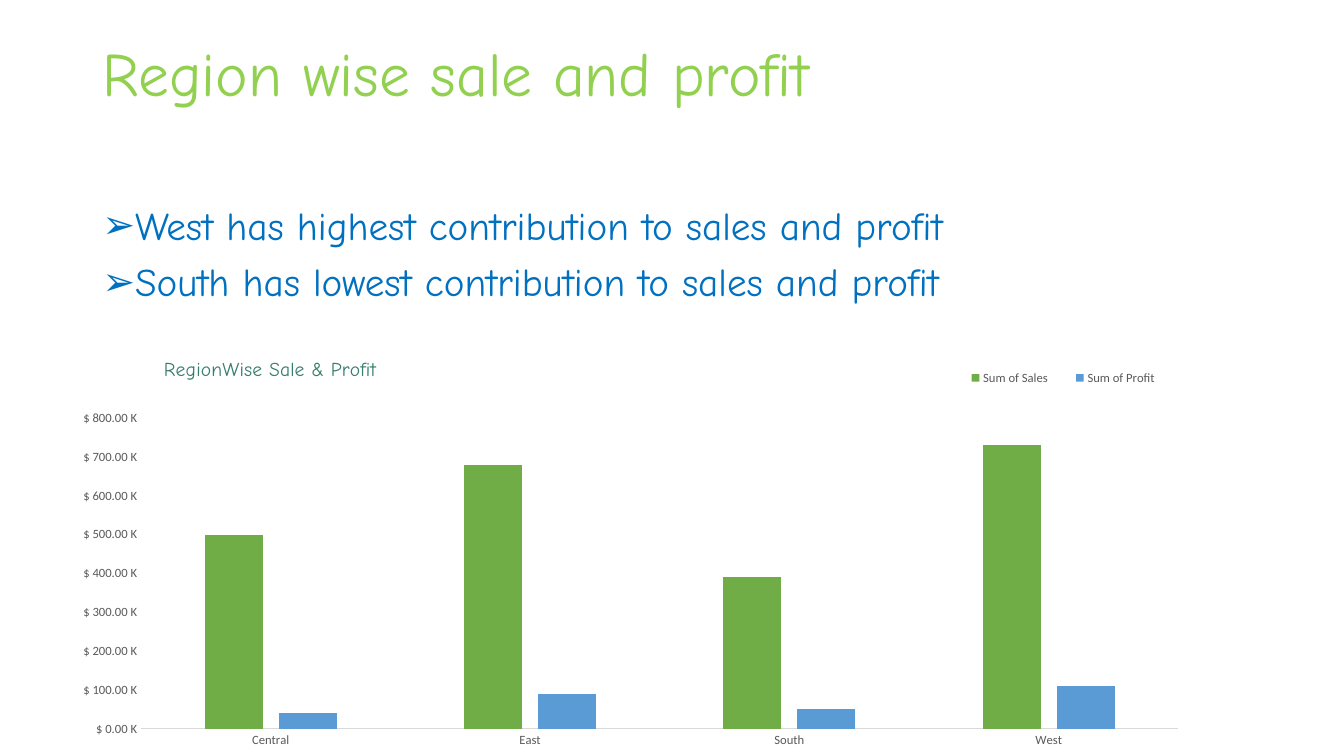
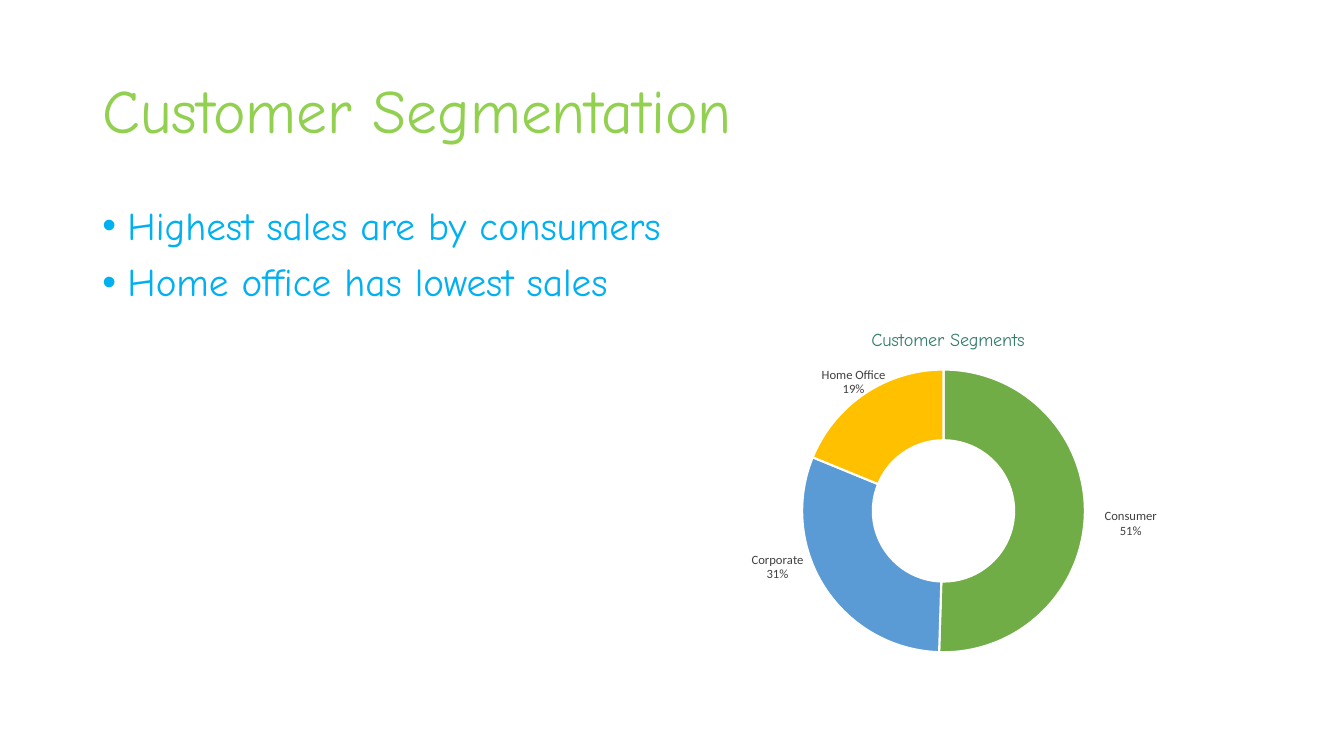
"""Build two slides on regional sales and customer segments."""
from dataclasses import dataclass

import lxml.etree
import pptx
import pptx.chart.data
import pptx.dml.color
import pptx.enum.chart
import pptx.enum.text
import pptx.oxml.ns
import pptx.util

Pt = pptx.util.Pt
RGB = pptx.dml.color.RGBColor.from_string
qn = pptx.oxml.ns.qn


@dataclass(frozen=True)
class Theme:
    heading: str = "92D050"
    region_text: str = "0070C0"
    segment_text: str = "00B0F0"
    chart_title: str = "357D6C"
    axis_text: str = "595959"
    label_text: str = "404040"
    axis_line: str = "D9D9D9"
    white: str = "FFFFFF"
    fills: tuple = ("70AD47", "5B9BD5", "FFC000")
    display_font: str = "Comic Neue"
    chart_font: str = "Calibri"
    heading_size: int = 44
    body_size: int = 28
    region_title_size: int = 14
    segment_title_size: int = 13
    label_size: int = 9


theme = Theme()


def write_text(frame, *lines, size, color, bullet=None, before=0, spacing=None):
    frame.word_wrap = True
    for index, line in enumerate(lines):
        paragraph = frame.add_paragraph() if index else frame.paragraphs[0]
        paragraph.alignment = pptx.enum.text.PP_ALIGN.LEFT
        paragraph.space_before = Pt(before)
        if spacing:
            paragraph.line_spacing = spacing
        run = paragraph.add_run()
        run.text = line
        run.font.name = theme.display_font
        run.font.size = Pt(size)
        run.font.bold = False
        run.font.color.rgb = RGB(color)
        if bullet:
            properties = paragraph._p.get_or_add_pPr()
            properties.set("marL", str(Pt(18)))
            properties.set("indent", str(-Pt(18)))
            lxml.etree.SubElement(properties, qn("a:buFont"), typeface="Arial")
            lxml.etree.SubElement(properties, qn("a:buChar"), char=bullet)


def place(part, index, chart_size, box, **modes):
    for old in part.findall(qn("c:layout")):
        part.remove(old)
    layout = lxml.etree.Element(qn("c:layout"))
    manual = lxml.etree.SubElement(layout, qn("c:manualLayout"))
    for tag, mode in modes.items():
        lxml.etree.SubElement(manual, qn(f"c:{tag}"), val=mode)
    for tag, length, whole in zip("xywh", box, chart_size * 2):
        lxml.etree.SubElement(manual, qn(f"c:{tag}"), val=str(length / whole))
    part.insert(index, layout)


deck = pptx.Presentation()
deck.slide_width, deck.slide_height = Pt(960), Pt(540)

pages = (
    ("Region wise sale and profit", 52, "➢", theme.region_text,
     ("West has highest contribution to sales and profit",
      "South has lowest contribution to sales and profit")),
    ("Customer Segmentation", 104, "•", theme.segment_text,
     ("Highest sales are by consumers", "Home office has lowest sales")),
)
for heading, heading_height, bullet, color, points in pages:
    slide = deck.slides.add_slide(deck.slide_layouts[5])
    title = slide.shapes.title
    title.left, title.top = Pt(66), Pt(29)
    title.width, title.height = Pt(828), Pt(heading_height)
    title.text_frame.auto_size = pptx.enum.text.MSO_AUTO_SIZE.NONE
    title.text_frame.vertical_anchor = pptx.enum.text.MSO_ANCHOR.MIDDLE
    write_text(title.text_frame, heading, size=theme.heading_size,
               color=theme.heading, spacing=0.9)
    body = slide.shapes.add_textbox(Pt(66), Pt(144), Pt(828), Pt(90))
    write_text(body.text_frame, *points, size=theme.body_size, color=color,
               bullet=bullet, before=10, spacing=0.9)

region_slide, segment_slide = deck.slides
region_size, segment_size = (886, 302), (433, 253)

region_data = pptx.chart.data.CategoryChartData()
region_data.categories = ["Central", "East", "South", "West"]
region_data.add_series("Sum of Sales", (500000, 680000, 390000, 730000))
region_data.add_series("Sum of Profit", (40000, 90000, 50000, 110000))
region_chart = region_slide.shapes.add_chart(
    pptx.enum.chart.XL_CHART_TYPE.COLUMN_CLUSTERED,
    Pt(42), Pt(238), *map(Pt, region_size), region_data).chart

segment_data = pptx.chart.data.CategoryChartData()
segment_data.categories = ["Consumer", "Corporate", "Home Office"]
segment_data.add_series("Customer Segments", (51, 31, 19))
segment_chart = segment_slide.shapes.add_chart(
    pptx.enum.chart.XL_CHART_TYPE.DOUGHNUT,
    Pt(461), Pt(224), *map(Pt, segment_size), segment_data).chart

chart_parts = (
    (region_chart, region_size, "RegionWise Sale & Profit",
     theme.region_title_size, theme.axis_text,
     (72.5, 14), (58.75, 60.75, 741, 222)),
    (segment_chart, segment_size, "Customer Segments",
     theme.segment_title_size, theme.label_text,
     (159, 8), (112, 40, 202, 202)),
)
for chart, chart_size, name, size, color, title_spot, plot_box in chart_parts:
    chart.font.name = theme.chart_font
    chart.font.size = Pt(theme.label_size)
    chart.font.color.rgb = RGB(color)
    chart.has_title = True
    write_text(chart.chart_title.text_frame, name, size=size,
               color=theme.chart_title)
    place(chart.chart_title._element, 1, chart_size, title_spot,
          xMode="edge", yMode="edge")
    place(chart._chartSpace.chart.plotArea, 0, chart_size, plot_box,
          layoutTarget="inner", xMode="edge", yMode="edge")

region_chart.has_legend = True
region_chart.legend.position = pptx.enum.chart.XL_LEGEND_POSITION.RIGHT
region_chart.legend.include_in_layout = False
place(region_chart.legend._element, 1, region_size, (635, 20, 165, 24),
      xMode="edge", yMode="edge")

columns = region_chart.plots[0]
columns.gap_width, columns.overlap = 219, -27
columns.vary_by_categories = False
for series, fill in zip(columns.series, theme.fills):
    series.format.fill.solid()
    series.format.fill.fore_color.rgb = RGB(fill)

regions, amounts = region_chart.category_axis, region_chart.value_axis
for axis in (regions, amounts):
    axis.major_tick_mark = pptx.enum.chart.XL_TICK_MARK.NONE
    axis.has_major_gridlines = False
regions.format.line.color.rgb = RGB(theme.axis_line)
regions.format.line.width = Pt(0.75)
amounts.format.line.fill.background()
amounts.minimum_scale, amounts.maximum_scale = 0, 800000
amounts.major_unit = 100000
amounts.tick_labels.number_format = r'"$"\ 0.00,\ \K'
amounts.tick_labels.number_format_is_linked = False

segment_chart.has_legend = False
ring = segment_chart.plots[0]
ring.vary_by_categories = True
ring._element.find(qn("c:holeSize")).set("val", "29")
segments = ring.series[0]
labels = segments.data_labels
labels.show_value = labels.show_category_name = True
labels.number_format = '0"%"'
labels.number_format_is_linked = False
for leader in labels._element.findall(qn("c:showLeaderLines")):
    leader.set("val", "0")

label_shifts = ((58, 8), (-55, -1), (-22, -29))
for index, (fill, shift) in enumerate(zip(theme.fills, label_shifts)):
    segment = segments.points[index]
    segment.format.fill.solid()
    segment.format.fill.fore_color.rgb = RGB(fill)
    segment.format.line.color.rgb = RGB(theme.white)
    segment.format.line.width = Pt(1.5)
    font = segment.data_label.font
    font.size = Pt(theme.label_size)
    font.color.rgb = RGB(theme.label_text)
    label = labels._element.findall(qn("c:dLbl"))[index]
    label.find(qn("c:showCatName")).set("val", "1")
    lxml.etree.SubElement(label, qn("c:separator")).text = "\n"
    percent_format = lxml.etree.Element(
        qn("c:numFmt"), formatCode='0"%"', sourceLinked="0")
    label.insert(1, percent_format)
    place(label, 1, segment_size, shift)

deck.save("out.pptx")
